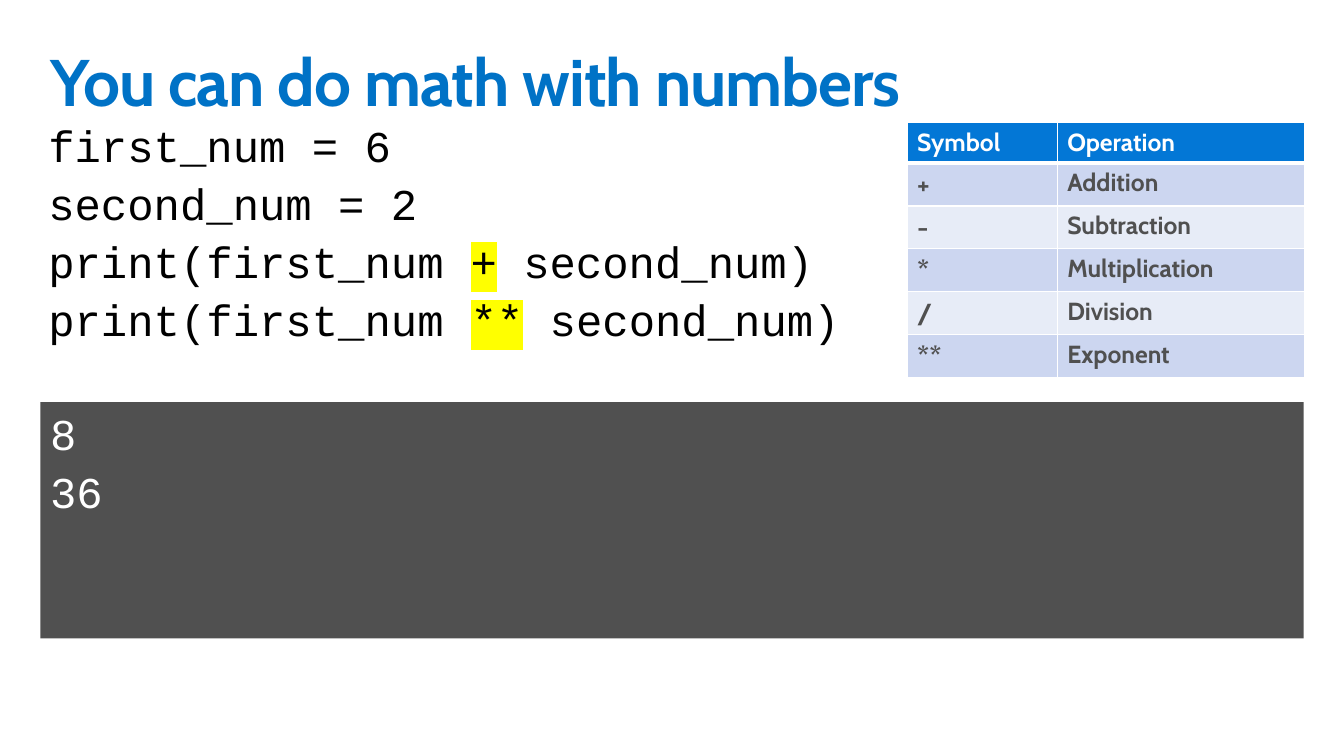
"""Build a slide on doing math with numbers in code."""
import pptx
import pptx.util
import pptx.dml.color
import pptx.enum.shapes
import pptx.enum.text
import pptx.oxml
import pptx.oxml.ns

INK = {"title": "0072C6", "code": "000000", "white": "FFFFFF", "dark": "505050",
       "head": "0377D6", "odd": "CCD6F0", "even": "E7ECF7", "mark": "FFFF00"}
NS = pptx.oxml.ns.nsdecls("a")
Pt, Inches = pptx.util.Pt, pptx.util.Inches
WIDE, HIGH = 13.6, 7.65


def style(run, ink, **form):
    for key, value in form.items():
        setattr(run.font, key, value)
    run.font.color.rgb = pptx.dml.color.RGBColor.from_string(INK[ink])


def write(shape, lines, ink, space, **form):
    frame = shape.text_frame
    frame.word_wrap = True
    frame.vertical_anchor = pptx.enum.text.MSO_ANCHOR.TOP
    for side in ("left", "top", "right", "bottom"):
        setattr(frame, "margin_" + side, Inches(0.1))
    for row, line in enumerate(lines):
        para = frame.add_paragraph() if row else frame.paragraphs[0]
        para.alignment = pptx.enum.text.PP_ALIGN.LEFT
        para.line_spacing = 0.9
        para.space_before = Pt(space)
        for spot, text in enumerate(line):
            run = para.add_run()
            run.text = text
            style(run, ink, **form)
            if spot == 1:
                mark = pptx.oxml.parse_xml(
                    f'<a:highlight {NS}><a:srgbClr val="{INK["mark"]}"/></a:highlight>')
                run.font.fill._xPr.insert(1, mark)


deck = pptx.Presentation()
deck.slide_width, deck.slide_height = Inches(WIDE), Inches(HIGH)
slide = deck.slides.add_slide(deck.slide_layouts[6])
left, span = Inches(WIDE * 0.03), Inches(WIDE * 0.94)
mono = {"name": "Courier New", "size": Pt(32)}

title = slide.shapes.add_textbox(left, Inches(0.4), span, Inches(1))
write(title, [["You can do math with numbers"]], "title", 0,
      name="Cabin", size=Pt(48), bold=True)
title.text_frame.paragraphs[0].runs[0].font._element.set("spc", "-70")

code = slide.shapes.add_textbox(Inches(0.39), Inches(1.16), span, Inches(4.67))
write(code, [["first_num = 6"], ["second_num = 2"],
             ["print(first_num ", "+", " second_num)"],
             ["print(first_num ", "**", " second_num)"]], "code", 7.8, **mono)

shell = slide.shapes.add_shape(pptx.enum.shapes.MSO_SHAPE.RECTANGLE,
                               left, Inches(4.07), span, Inches(2.39))
shell.shadow.inherit = False
shell.fill.solid()
shell.fill.fore_color.rgb = pptx.dml.color.RGBColor.from_string(INK["dark"])
shell.line.fill.background()
write(shell, [["8"], ["36"]], "white", 7.8, **mono)

rows = [("Symbol", "Operation"), ("+", "Addition"), ("-", "Subtraction"),
        ("*", "Multiplication"), ("/", "Division"), ("**", "Exponent")]
table = slide.shapes.add_table(len(rows), 2, Inches(9.18), Inches(1.24),
                               Inches(4.02), Inches(2.59)).table
for col, width in enumerate((1.52, 2.5)):
    table.columns[col].width = Inches(width)
for row, words in enumerate(rows):
    table.rows[row].height = Inches(0.43 if row else 0.41)
    shade = ("even", "odd")[row % 2] if row else "head"
    for col, word in enumerate(words):
        cell = table.cell(row, col)
        props = cell._tc.get_or_add_tcPr()
        for side in "LRTB":
            thick = 3 if (row, side) in ((0, "B"), (1, "T")) else 1
            props.append(pptx.oxml.parse_xml(
                f'<a:ln{side} {NS} w="{Pt(thick)}"><a:solidFill>'
                f'<a:srgbClr val="{INK["white"]}"/></a:solidFill></a:ln{side}>'))
        cell.fill.solid()
        cell.fill.fore_color.rgb = pptx.dml.color.RGBColor.from_string(INK[shade])
        run = cell.text_frame.paragraphs[0].add_run()
        run.text = word
        style(run, "dark" if row else "white", name="Cabin", bold=True,
              size=Pt(20 if row and not col else 18))

deck.save("out.pptx")
